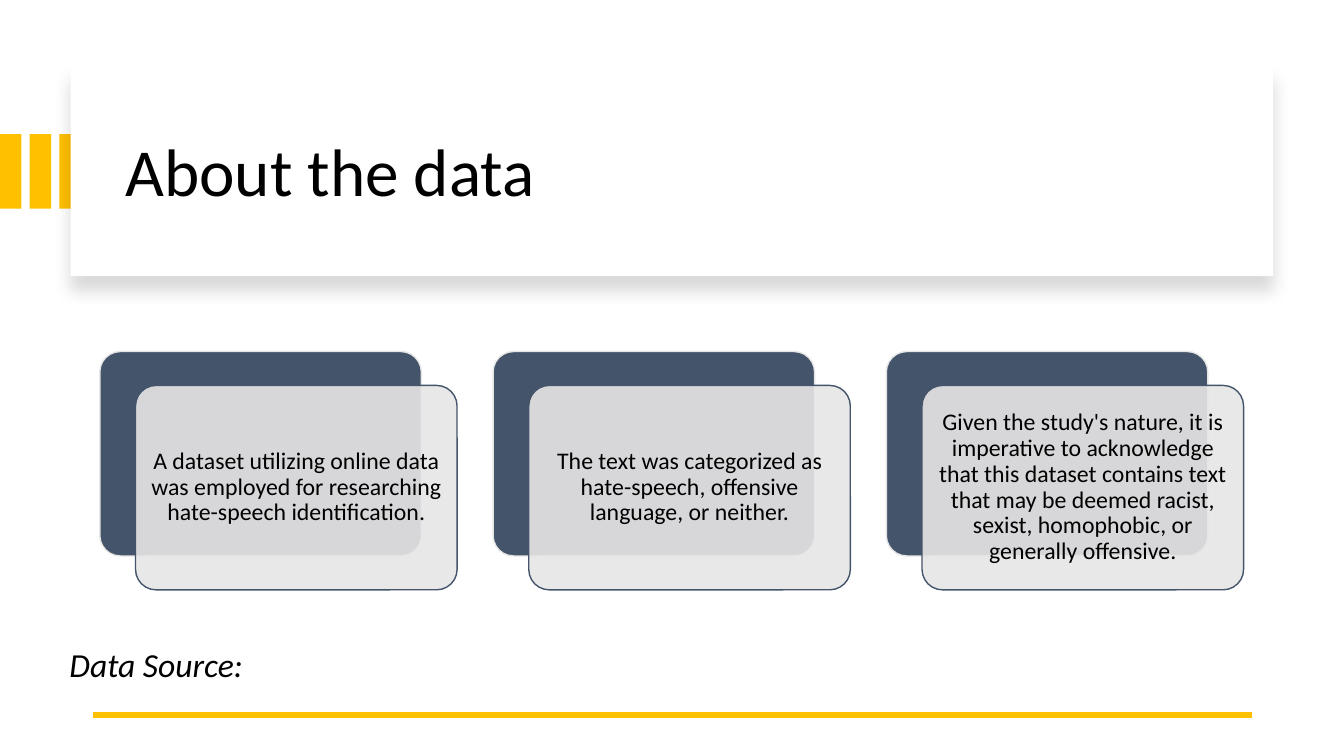
from lxml import etree
from pptx import Presentation
from pptx.dml.color import RGBColor
from pptx.enum.shapes import MSO_CONNECTOR, MSO_SHAPE
from pptx.enum.text import MSO_ANCHOR, PP_ALIGN
from pptx.oxml import parse_xml
from pptx.oxml.ns import qn
from pptx.util import Pt

TITLE = "About the data"
SOURCE = "Data Source:"
CARDS = [
    "A dataset utilizing online data was employed for researching hate-speech identification.",
    "The text was categorized as hate-speech, offensive language, or neither.",
    "Given the study's nature, it is imperative to acknowledge that this dataset contains text "
    "that may be deemed racist, sexist, homophobic, or generally offensive.",
]
GOLD, WHITE, BLACK, NAVY, GREY = "FFC000", "FFFFFF", "000000", "44546A", "E7E6E6"
LEFT, TOP, WIDE, HIGH = 71.3, 251.1, 229.7, 146
PITCH, SHIFT, DROP, INSET = 280.9, 25.5, 24.2, 4.2
SHADOW = """<a:effectLst xmlns:a="http://schemas.openxmlformats.org/drawingml/2006/main">
<a:outerShdw blurRad="{}" dist="{}" dir="5400000" algn="t" rotWithShape="0">
<a:srgbClr val="{}"><a:alpha val="15000"/></a:srgbClr></a:outerShdw></a:effectLst>"""


def color(code):
    return RGBColor.from_string(code)


def draw(slide, kind, box, fill, edge=None):
    shape = slide.shapes.add_shape(kind, *map(Pt, box))
    shape.shadow.inherit = False
    shape.fill.solid()
    shape.fill.fore_color.rgb = color(fill)
    if edge:
        shape.line.color.rgb = color(edge)
        shape.line.width = Pt(1)
    else:
        shape.line.fill.background()
    if kind == MSO_SHAPE.ROUNDED_RECTANGLE:
        shape.adjustments[0] = 0.1
    return shape


def write(slide, box, text, size, align=PP_ALIGN.LEFT, pad=None, slant=False):
    frame = slide.shapes.add_textbox(*map(Pt, box)).text_frame
    frame.word_wrap = True
    frame.vertical_anchor = MSO_ANCHOR.MIDDLE
    if pad:
        frame.margin_left = frame.margin_right = Pt(pad)
        frame.margin_top = frame.margin_bottom = Pt(pad)
    para = frame.paragraphs[0]
    para.alignment = align
    para.line_spacing = 0.9
    run = para.add_run()
    run.text = text
    run.font.name = "Calibri"
    run.font.size = Pt(size)
    run.font.italic = slant
    run.font.color.rgb = color(BLACK)


def main():
    deck = Presentation()
    deck.slide_width, deck.slide_height = Pt(960), Pt(540)
    slide = deck.slides.add_slide(deck.slide_layouts[6])

    for i in range(3):
        draw(slide, MSO_SHAPE.RECTANGLE, (i * 21.2, 95.8, 15.3, 53.3), GOLD)

    panel = draw(slide, MSO_SHAPE.RECTANGLE, (50.5, 48, 859, 149.2), WHITE)
    props = panel.element.spPr
    props.remove(props.find(qn("a:effectLst")))
    props.append(parse_xml(SHADOW.format(Pt(11), Pt(10), BLACK)))
    write(slide, (82.4, 63.8, 801.4, 122.4), TITLE, 48)

    rule = slide.shapes.add_connector(
        MSO_CONNECTOR.STRAIGHT, Pt(894.2), Pt(510.5), Pt(66.2), Pt(510.5))
    rule.line.color.rgb = color(GOLD)
    rule.line.width = Pt(4.5)
    etree.SubElement(rule.element.spPr, qn("a:effectLst"))

    for i, text in enumerate(CARDS):
        x = LEFT + i * PITCH
        draw(slide, MSO_SHAPE.ROUNDED_RECTANGLE, (x, TOP, WIDE, HIGH), NAVY, GREY)
        x, y = x + SHIFT, TOP + DROP
        card = draw(slide, MSO_SHAPE.ROUNDED_RECTANGLE, (x, y, WIDE, HIGH), GREY, NAVY)
        tint = card.element.spPr.find(qn("a:solidFill"))[0]
        etree.SubElement(tint, qn("a:alpha"), val="90000")
        box = (x + INSET, y + INSET, WIDE - 2 * INSET, HIGH - 2 * INSET)
        write(slide, box, text, 17, PP_ALIGN.CENTER, 5.1)

    write(slide, (42.5, 450, 717.1, 52.6), SOURCE, 24, slant=True)
    deck.save("out.pptx")


if __name__ == "__main__":
    main()
